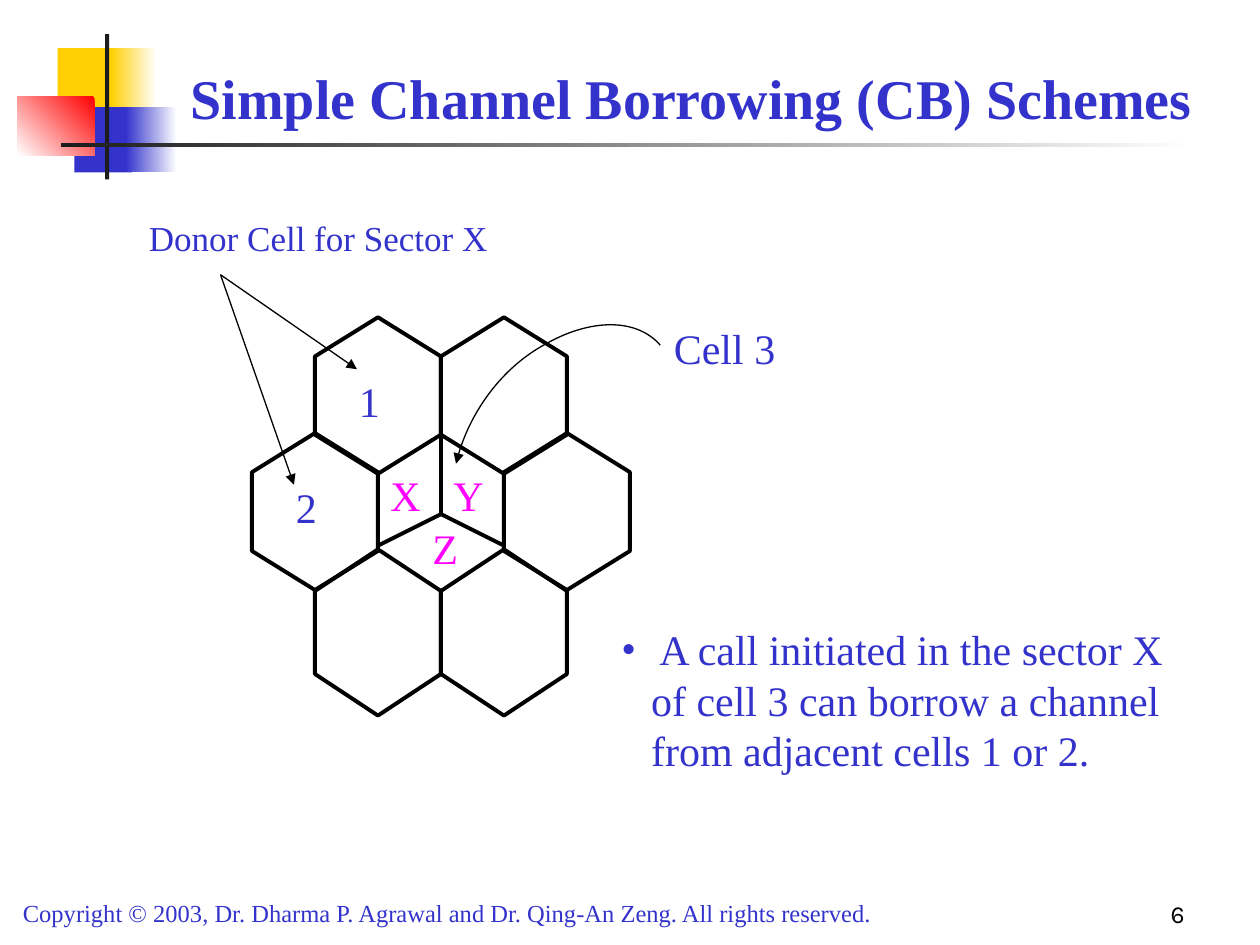
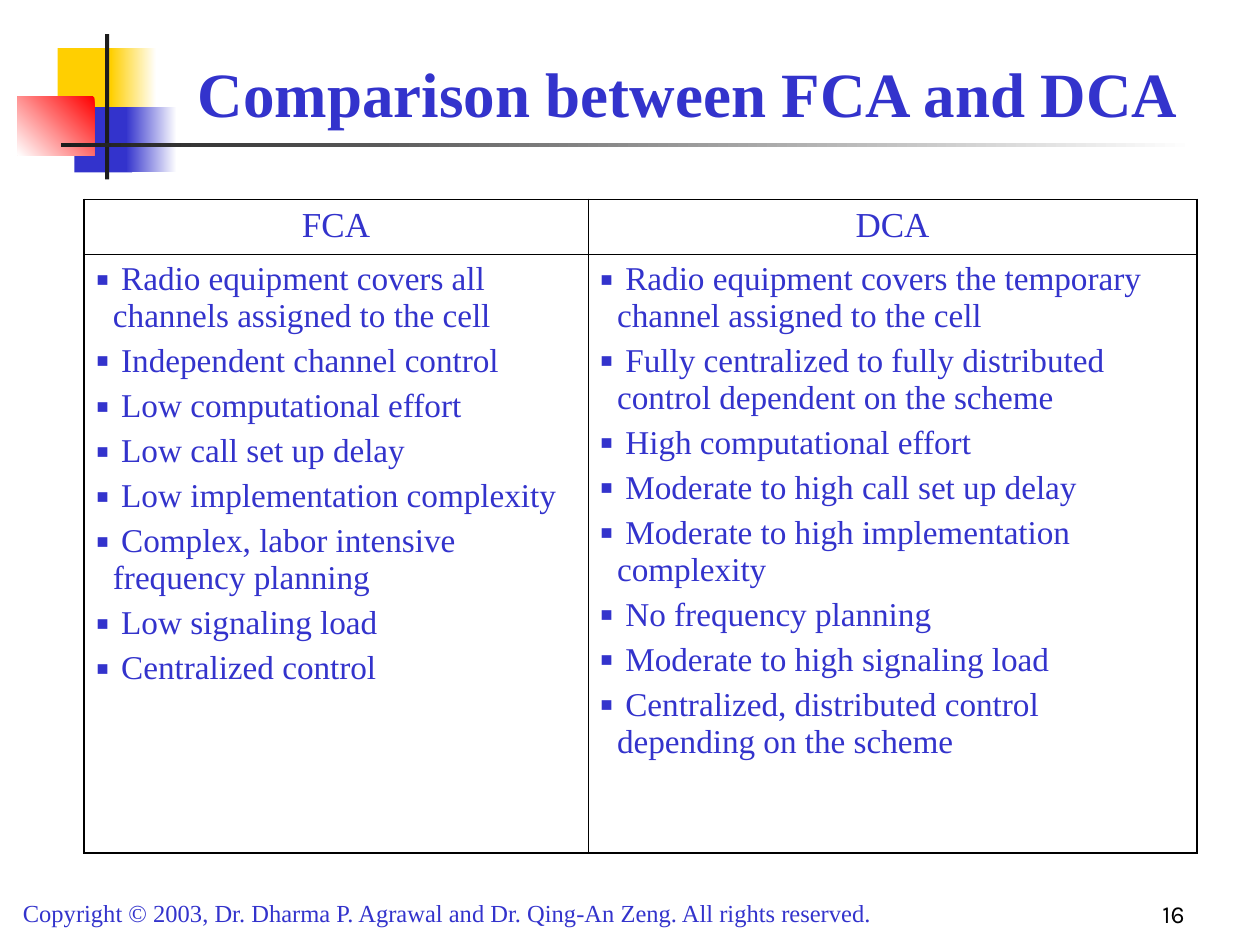
from lxml import etree
from pptx import Presentation
from pptx import util as u
from pptx.dml import color as dml
from pptx.enum import shapes, text
from pptx.oxml import ns

Pt = u.Pt
BLUE, MAGENTA, BLACK, WHITE = "3333CC", "FF00FF", "000000", "FFFFFF"
YELLOW, RED, CHARCOAL = "FFCF01", "FF0000", "1C1C1C"
SERIF, NUMBER_FONT = "Times New Roman", "Karla"
COPYRIGHT = "Copyright © 2003, Dr. Dharma P. Agrawal and Dr. Qing-An Zeng. All rights reserved."

# Left, top, width, height in points
EMBLEM_BOX = (10, 19.5, 673, 84)
FOOTER_BOX = (6, 498, 678, 36)

HEX_TILT = 270
DOT = {"char": "•", "percent": 100, "hang": 17}
SQUARE = {"char": "■", "percent": 60, "hang": 9.36}

FCA = [
    "Radio equipment covers all channels assigned to the cell",
    "Independent channel control",
    "Low computational effort",
    "Low call set up delay",
    "Low implementation complexity",
    "Complex, labor intensive frequency planning",
    "Low signaling load",
    "Centralized control",
]
DCA = [
    "Radio equipment covers the temporary channel assigned to the cell",
    "Fully centralized to fully distributed control dependent on the scheme",
    "High computational effort",
    "Moderate to high call set up delay",
    "Moderate to high implementation complexity",
    "No frequency planning",
    "Moderate to high signaling load",
    "Centralized, distributed control depending on the scheme",
]


def rgb(code):
    return dml.RGBColor.from_string(code)


def pts(*lengths):
    return [Pt(length) for length in lengths]


def assign(target, values):
    for name, value in values.items():
        setattr(target, name, value)


def add_xml(parent, tag, **attributes):
    child = etree.SubElement(parent, ns.qn(tag))
    for name, value in attributes.items():
        child.set(name, str(value))
    return child


def add_bullet(paragraph, bullet, color):
    properties = paragraph._p.get_or_add_pPr()
    properties.set("marL", str(Pt(bullet["hang"])))
    properties.set("indent", str(-Pt(bullet["hang"])))
    add_xml(add_xml(properties, "a:buClr"), "a:srgbClr", val=color)
    add_xml(properties, "a:buSzPct", val=bullet["percent"] * 1000)
    add_xml(properties, "a:buFont", typeface=SERIF)
    add_xml(properties, "a:buChar", char=bullet["char"])


def write(frame, lines, size, color=BLUE, face=SERIF, bold=False,
          align=text.PP_ALIGN.LEFT, bullet=None):
    for index, line in enumerate(lines):
        paragraph = frame.add_paragraph() if index else frame.paragraphs[0]
        paragraph.alignment = align
        if bullet:
            paragraph.space_before = Pt(size / 4)
            add_bullet(paragraph, bullet, color)
            line = f" {line}"
        run = paragraph.add_run()
        run.text = line
        assign(run.font, {"name": face, "size": Pt(size), "bold": bold})
        run.font.color.rgb = rgb(color)


def add_text(slide, box, lines, size, anchor=text.MSO_ANCHOR.TOP, **style):
    frame = slide.shapes.add_textbox(*pts(*box)).text_frame
    assign(frame, {"word_wrap": True, "vertical_anchor": anchor})
    write(frame, lines, size, **style)


def set_line(outlined, weight, arrow_end=None):
    outlined.line.color.rgb = rgb(BLACK)
    outlined.line.width = Pt(weight)
    if arrow_end:
        add_xml(outlined._element.xpath(".//a:ln")[0], arrow_end, type="triangle")


def add_line(slide, start, end, weight, arrow_end=None):
    line = slide.shapes.add_connector(
        shapes.MSO_CONNECTOR.STRAIGHT, *pts(*start, *end))
    set_line(line, weight, arrow_end)
    add_xml(line._element.spPr, "a:effectLst")


def add_curve(slide, points, weight, arrow_end):
    """Draw cubic curves through a start point and groups of three control points."""
    start, *controls = [pts(*point) for point in points]
    builder = slide.shapes.build_freeform(*start)
    builder.add_line_segments(controls, close=False)
    curve = builder.convert_to_shape()
    curve.shadow.inherit = False
    curve.fill.background()
    set_line(curve, weight, arrow_end)
    outline = curve._element.xpath(".//a:path")[0]
    segments = outline.findall(ns.qn("a:lnTo"))
    for first in range(0, len(segments), 3):
        bezier = add_xml(outline, "a:cubicBezTo")
        for segment in segments[first:first + 3]:
            bezier.append(segment[0])
            outline.remove(segment)


def add_block(slide, box, colors, angle=180):
    """Add a borderless rectangle with one colour or a two-colour gradient."""
    block = slide.shapes.add_shape(shapes.MSO_SHAPE.RECTANGLE, *pts(*box))
    block.shadow.inherit = False
    block.line.fill.background()
    if len(colors) == 1:
        block.fill.solid()
        block.fill.fore_color.rgb = rgb(colors[0])
        return
    block.fill.gradient()
    block.fill.gradient_angle = angle
    for stop, position, color in zip(block.fill.gradient_stops, (0, 1), colors):
        stop.position = position
        stop.color.rgb = rgb(color)


def emblem(slide, box):
    left, top, width, height = box
    for x, y, w, h, *fill in (
        (23, 8, 34.5, 37.4, (YELLOW,)),
        (53.3, 8, 26, 37.4, (WHITE, YELLOW)),
        (32.5, 41.7, 33, 37.4, (BLUE,)),
        (62, 41.7, 29, 37.4, (WHITE, BLUE)),
        (0, 35.8, 44, 33.4, (RED, WHITE), 225),
        (50, 0, 2.4, height - 1, (CHARCOAL,)),
        (25, 62, width - 25, 2.4, (WHITE, CHARCOAL)),
    ):
        add_block(slide, (left + x, top + y, w, h), *fill)


def footer(slide, box, number):
    left, top, width, height = box
    add_text(slide, (left, top + 11.8, 546, 24.2), [COPYRIGHT], 14)
    add_text(slide, (left + width - 150, top, 150, height), [str(number)], 14,
             anchor=text.MSO_ANCHOR.BOTTOM, color=BLACK, face=NUMBER_FONT,
             align=text.PP_ALIGN.RIGHT)


def base_slide(deck, title, title_box, title_size, number):
    slide = deck.slides.add_slide(deck.slide_layouts[6])
    emblem(slide, EMBLEM_BOX)
    add_text(slide, title_box, [title], title_size, bold=True,
             anchor=text.MSO_ANCHOR.BOTTOM, align=text.PP_ALIGN.CENTER)
    footer(slide, FOOTER_BOX, number)
    return slide


def cell_cluster(slide, box):
    """Draw six cells around a centre cell that is split into sectors."""
    left, top, width, _ = box
    cell = width / 3
    for columns, middle, length, slope in (
        ((1, 2), 45, 89.4, 0.31),
        ((0.5, 2.5), 111.3, 89.7, 0.31),
        ((1, 2), 180.4, 95, 0.33),
    ):
        for column in columns:
            hexagon = slide.shapes.add_shape(
                shapes.MSO_SHAPE.HEXAGON,
                *pts(left + column * cell - length / 2,
                     top + middle - cell / 2, length, cell))
            hexagon.rotation = HEX_TILT
            hexagon.adjustments[0] = slope
            hexagon.shadow.inherit = False
            hexagon.fill.background()
            set_line(hexagon, 2.25)

    hub = (left + width / 2, top + 112.8)
    for x, y in ((cell, 130.8), (2 * cell, 130.8), (width / 2, 65.2)):
        add_line(slide, hub, (left + x, top + y), 2.25)

    for label, x, y, color in (
        ("X", 72, 84, MAGENTA),
        ("Y", 108, 84, MAGENTA),
        ("Z", 96, 114.2, MAGENTA),
        ("1", 54, 30, BLUE),
        ("2", 18, 90.4, BLUE),
    ):
        add_text(slide, (left + x, top + y, 30, 36), [label], 24, color=color)


def callouts(slide, box):
    left, top, width, _ = box

    def at(x, y):
        return left + x, top + y

    add_text(slide, (left, top, 216, 32), ["Donor Cell for Sector X"], 20)
    for donor in ((126, 91), (90, 157)):
        add_line(slide, at(48, 37), at(*donor), 0.75, "a:tailEnd")
    add_text(slide, (left + width - 90, top + 61, 90, 36), ["Cell 3"], 24)
    sweep = ((182.6, 145), (188.4, 119), (208.6, 90.2), (233.8, 76.6),
             (259, 62.2), (285.6, 61.4), (299.3, 77.3))
    add_curve(slide, [at(*point) for point in sweep], 0.75, "a:headEnd")


def set_borders(cell, weights):
    properties = cell._tc.get_or_add_tcPr()
    for index, (side, weight) in enumerate(weights.items()):
        border = add_xml(properties, f"a:ln{side}", w=Pt(weight))
        add_xml(add_xml(border, "a:solidFill"), "a:srgbClr", val=BLACK)
        properties.insert(index, border)


def comparison_table(slide, box, columns):
    """Fill a table with one heading and one bulleted list per column."""
    table = slide.shapes.add_table(2, len(columns), *pts(*box)).table
    assign(table, {"first_row": False, "horz_banding": False})
    heading_height = 31.5
    table.rows[0].height, table.rows[1].height = pts(
        heading_height, box[3] - heading_height)
    outer, inner = 1.08, 0.45
    last = len(columns) - 1
    for index, (heading, share, points) in enumerate(columns):
        table.columns[index].width = Pt(box[2] * share)
        head, body = table.cell(0, index), table.cell(1, index)
        write(head.text_frame, [heading], 20, align=text.PP_ALIGN.CENTER)
        write(body.text_frame, points, 19, bullet=SQUARE)
        for cell in (head, body):
            cell.fill.background()
            set_borders(cell, {
                "L": inner if index else outer,
                "R": outer if index == last else inner,
                "T": outer if cell is head else inner,
                "B": outer if cell is body else inner,
            })


def borrowing_slide(deck):
    slide = base_slide(deck, "Simple Channel Borrowing (CB) Schemes",
                       (88.5, 18, 613.5, 60), 32, 6)
    cell_cluster(slide, (144, 181, 216, 229))
    callouts(slide, (78, 120, 390, 160))
    add_text(slide, (348, 353, 330, 93.6),
             ["A call initiated in the sector X of cell 3 can borrow a channel "
              "from adjacent cells 1 or 2."], 24, bullet=DOT)


def comparison_slide(deck):
    slide = base_slide(deck, "Comparison between FCA and DCA",
                       (84, 12, 618, 66), 36, 16)
    comparison_table(slide, (48, 114, 636, 373.5),
                     [("FCA", 0.453, FCA), ("DCA", 0.547, DCA)])


def main():
    deck = Presentation()
    assign(deck, {"slide_width": Pt(720), "slide_height": Pt(540)})
    borrowing_slide(deck)
    comparison_slide(deck)
    deck.save("out.pptx")


if __name__ == "__main__":
    main()
